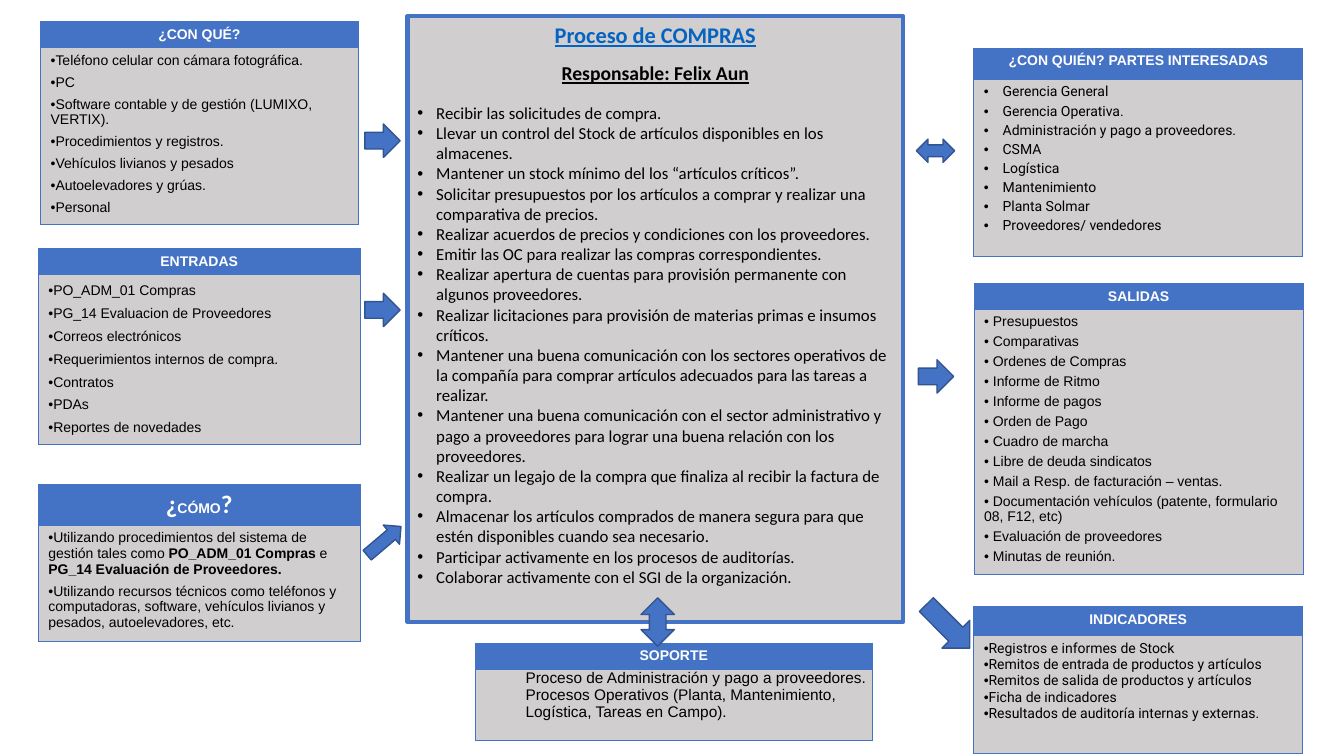
import dataclasses
import lxml.etree
import pptx
import pptx.dml.color
import pptx.enum.shapes
import pptx.enum.text
import pptx.oxml.ns
import pptx.util

Pt = pptx.util.Pt
Arrow = pptx.enum.shapes.MSO_SHAPE
Align = pptx.enum.text.PP_ALIGN
qn = pptx.oxml.ns.qn


@dataclasses.dataclass(frozen=True)
class Style:
    size: float
    font: str
    color: str
    bold: bool = False
    underline: bool = False


class Theme:
    blue = "4472C4"
    dark_blue = "325491"
    gray = "D0CECE"
    header = Style(10, "Arial", "FFFFFF", True)
    header_large = Style(18, "Calibri", "FFFFFF", True)
    body = Style(10, "Arial", "000000")
    body_bold = Style(10, "Arial", "000000", True)
    roboto = Style(10, "Roboto", "000000")
    support = Style(11, "Arial", "000000")
    title = Style(16, "Calibri", "0563C1", True, True)
    subtitle = Style(14, "Calibri", "000000", True, True)
    process = Style(12, "Calibri", "000000")


@dataclasses.dataclass(frozen=True)
class Layout:
    style: Style = Theme.body
    gap: float = 0
    line: float = 1
    indent: float = 0
    bullet: bool = True
    margins: tuple = (7.2, 3.6)


def rgb(color):
    return pptx.dml.color.RGBColor.from_string(color)


def fill_solid(target, color):
    target.fill.solid()
    target.fill.fore_color.rgb = rgb(color)


def write(paragraph, text, style, accent=None):
    paragraph.text = ""
    for index, piece in enumerate(text.split("|")):
        if not piece:
            continue
        run = paragraph.add_run()
        run.text = piece
        current = accent if index % 2 else style
        run.font.size = Pt(current.size)
        run.font.name = current.font
        run.font.bold = current.bold
        run.font.underline = current.underline
        run.font.color.rgb = rgb(current.color)


def set_bullet(paragraph, indent):
    properties = paragraph._p.get_or_add_pPr()
    properties.set("marL", str(Pt(indent)))
    properties.set("indent", str(-Pt(indent)))
    font = lxml.etree.SubElement(properties, qn("a:buFont"))
    font.set("typeface", "Arial")
    lxml.etree.SubElement(properties, qn("a:buChar")).set("char", "•")


def set_borders(cell):
    properties = cell._tc.get_or_add_tcPr()
    for index, side in enumerate(("lnL", "lnR", "lnT", "lnB")):
        line = lxml.etree.Element(qn("a:" + side), w=str(Pt(0.5)))
        solid = lxml.etree.SubElement(line, qn("a:solidFill"))
        lxml.etree.SubElement(solid, qn("a:srgbClr")).set("val", Theme.blue)
        properties.insert(index, line)


def add_panel(slide, box, header_height, header, items, layout):
    left, top, width, height = box
    table = slide.shapes.add_table(2, 1, Pt(left), Pt(top), Pt(width), Pt(height)).table
    table.rows[0].height = Pt(header_height)
    table.rows[1].height = Pt(height - header_height)
    heading, body = table.cell(0, 0), table.cell(1, 0)
    for cell, color in ((heading, Theme.blue), (body, Theme.gray)):
        fill_solid(cell, color)
        set_borders(cell)
    title = heading.text_frame.paragraphs[0]
    write(title, header, Theme.header, Theme.header_large)
    title.alignment = Align.CENTER
    body.margin_left = body.margin_right = Pt(layout.margins[0])
    body.margin_top = body.margin_bottom = Pt(layout.margins[1])
    body.text_frame.text = "\n".join(items)
    for index, (paragraph, item) in enumerate(zip(body.text_frame.paragraphs, items)):
        write(paragraph, item, layout.style, Theme.body_bold)
        paragraph.line_spacing = layout.line
        paragraph.space_before = Pt(layout.gap if index else 0)
        if layout.bullet:
            set_bullet(paragraph, layout.indent)
        else:
            paragraph._p.get_or_add_pPr().set("marL", str(Pt(layout.indent)))


def add_process(slide, box, title, subtitle, tasks):
    shape = slide.shapes.add_shape(Arrow.RECTANGLE, *map(Pt, box))
    shape.shadow.inherit = False
    fill_solid(shape, Theme.gray)
    shape.line.color.rgb = rgb(Theme.blue)
    shape.line.width = Pt(3)
    frame = shape.text_frame
    frame.word_wrap = True
    frame.vertical_anchor = pptx.enum.text.MSO_ANCHOR.TOP
    lines = [title, subtitle, *tasks]
    frame.text = "\n".join(lines)
    styles = [Theme.title, Theme.subtitle] + [Theme.process] * len(tasks)
    gaps = [0, 9.3, 13] + [0] * (len(tasks) - 1)
    for index, paragraph in enumerate(frame.paragraphs):
        write(paragraph, lines[index], styles[index])
        paragraph.space_before = Pt(gaps[index])
        paragraph.alignment = Align.CENTER if index < 2 else Align.LEFT
        if index >= 2:
            set_bullet(paragraph, 13.5)


def add_arrow(slide, box, kind=Arrow.RIGHT_ARROW, rotation=0):
    arrow = slide.shapes.add_shape(kind, *map(Pt, box))
    arrow.shadow.inherit = False
    arrow.rotation = rotation
    fill_solid(arrow, Theme.blue)
    arrow.line.color.rgb = rgb(Theme.dark_blue)
    arrow.line.width = Pt(1)


PANELS = [
    ((29, 15.5, 226.8, 145), 18.6, "¿CON QUÉ?", [
        "Teléfono celular con cámara fotográfica.", "PC",
        "Software contable y de gestión (LUMIXO, VERTIX).",
        "Procedimientos y registros.", "Vehículos livianos y pesados",
        "Autoelevadores y grúas.", "Personal"], Layout(gap=4.5)),
    ((27.4, 177.5, 229.7, 140), 18.6, "ENTRADAS", [
        "PO_ADM_01 Compras", "PG_14 Evaluacion de Proveedores", "Correos electrónicos",
        "Requerimientos internos de compra.", "Contratos", "PDAs",
        "Reportes de novedades"], Layout(gap=3, line=1.2)),
    ((27.4, 346, 229.7, 112.2), 29.2, "|¿|CÓMO|?|", [
        "Utilizando procedimientos del sistema de gestión tales como "
        "|PO_ADM_01 Compras |e |PG_14 Evaluación de Proveedores.|",
        "Utilizando recursos técnicos como teléfonos y computadoras, software, "
        "vehículos livianos y pesados, autoelevadores, etc."], Layout(gap=4.5)),
    ((695.5, 433.2, 235, 104.7), 20.5, "INDICADORES", [
        "Registros e informes de Stock", "Remitos de entrada de productos y artículos",
        "Remitos de salida de productos y artículos", "Ficha de indicadores",
        "Resultados de auditoría internas y externas."], Layout(Theme.roboto)),
    ((695.8, 202.4, 235, 208), 18.6, "SALIDAS", [
        " Presupuestos", " Comparativas", " Ordenes de Compras", " Informe de Ritmo",
        " Informe de pagos", " Orden de Pago", " Cuadro de marcha",
        " Libre de deuda sindicatos", " Mail a Resp. de facturación – ventas.",
        " Documentación vehículos (patente, formulario 08, F12, etc)",
        " Evaluación de proveedores", " Minutas de reunión."],
     Layout(gap=3.7, line=0.95)),
    ((695.5, 34.2, 235, 148.6), 22.2, "¿CON QUIÉN? PARTES INTERESADAS", [
        "Gerencia General", "Gerencia Operativa.", "Administración y pago a proveedores.",
        "CSMA", "Logística", "Mantenimiento", "Planta Solmar",
        "Proveedores/ vendedores"], Layout(Theme.roboto, gap=2, indent=13.5)),
    ((339.4, 459.5, 283.7, 69), 18.6, "SOPORTE", [
        "Proceso de Administración y pago a proveedores.",
        "Procesos Operativos (Planta, Mantenimiento, Logística, Tareas en Campo)."],
     Layout(Theme.support, indent=36, bullet=False, margins=(0, 0))),
]

TASKS = [
    "Recibir las solicitudes de compra.",
    "Llevar un control del Stock de artículos disponibles en los almacenes.",
    "Mantener un stock mínimo del los “artículos críticos”.",
    "Solicitar presupuestos por los artículos a comprar y realizar una comparativa de precios.",
    "Realizar acuerdos de precios y condiciones con los proveedores.",
    "Emitir las OC para realizar las compras correspondientes.",
    "Realizar apertura de cuentas para provisión permanente con algunos proveedores.",
    "Realizar licitaciones para provisión de materias primas e insumos críticos.",
    "Mantener una buena comunicación con los sectores operativos de la compañía "
    "para comprar artículos adecuados para las tareas a realizar.",
    "Mantener una buena comunicación con el sector administrativo y pago a "
    "proveedores para lograr una buena relación con los proveedores.",
    "Realizar un legajo de la compra que finaliza al recibir la factura de compra.",
    "Almacenar los artículos comprados de manera segura para que estén "
    "disponibles cuando sea necesario.",
    "Participar activamente en los procesos de auditorías.",
    "Colaborar activamente con el SGI de la organización.",
]

ARROWS = [
    ((258.5, 377.3, 31.7, 18), Arrow.RIGHT_ARROW, 319.7),
    ((656, 257, 25.2, 23.8)),
    ((655.2, 433.4, 43.9, 28.1), Arrow.RIGHT_ARROW, 45.1),
    ((654.5, 99.4, 27.4, 16.6), Arrow.LEFT_RIGHT_ARROW),
    ((457.9, 427, 23.8, 34.6), Arrow.UP_DOWN_ARROW),
    ((260.6, 209.5, 25.2, 23.8)),
    ((260.6, 88.6, 25.2, 23.8)),
]

presentation = pptx.Presentation()
presentation.slide_width = Pt(960)
presentation.slide_height = Pt(540)
slide = presentation.slides.add_slide(presentation.slide_layouts[6])
for panel in PANELS:
    add_panel(slide, *panel)
add_process(slide, (291, 11.5, 354.2, 432.7), "Proceso de COMPRAS",
            "Responsable: Felix Aun", TASKS)
for arrow in ARROWS:
    box, *options = arrow if isinstance(arrow[0], tuple) else (arrow,)
    add_arrow(slide, box, *options)
presentation.save("out.pptx")
